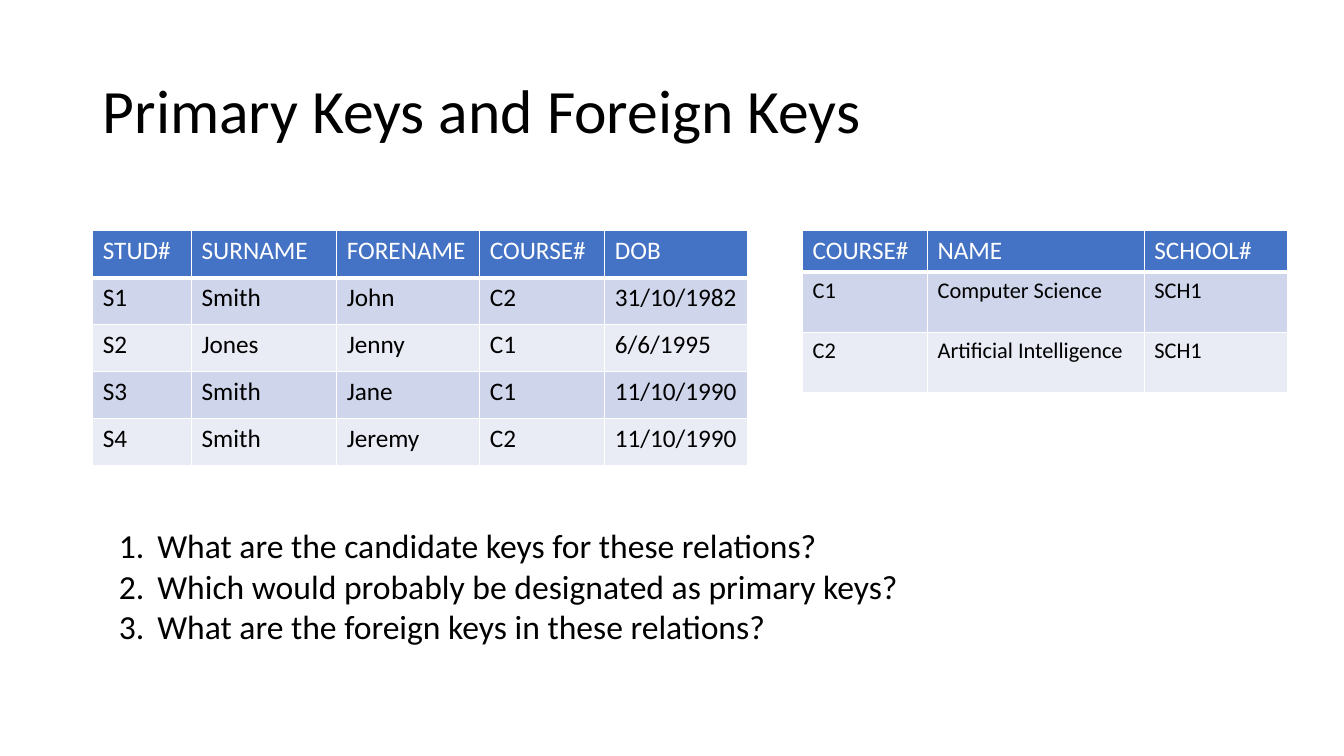
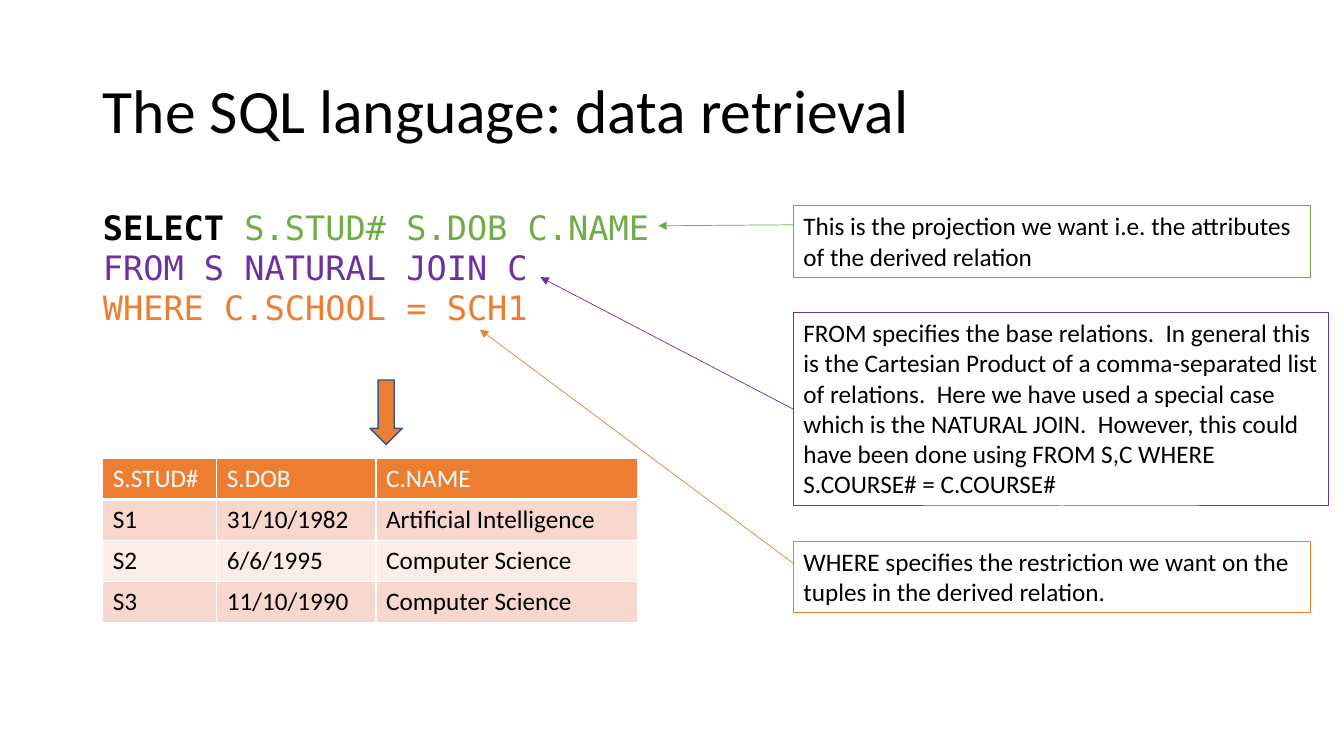
import lxml.etree
import pptx
import pptx.dml.color
import pptx.enum.shapes
import pptx.enum.text
import pptx.oxml
import pptx.oxml.ns
import pptx.util
from dataclasses import dataclass


@dataclass(frozen=True)
class Theme:
    font: str = "Calibri"
    code_font: str = "DejaVu Sans Mono"
    black: str = "000000"
    white: str = "FFFFFF"
    blue: str = "4472C4"
    blue_bands: tuple = ("CFD5EA", "E9EBF5")
    orange: str = "ED7D31"
    orange_bands: tuple = ("F8D7CE", "FCECE8")
    green: str = "70AD47"
    purple: str = "7030A0"
    arrow_outline: str = "325491"
    title_size: int = 44
    body_size: int = 24
    text_size: int = 18
    small_size: int = 16


THEME = Theme()
SLIDE_SIZE = (13.33, 7.5)
TITLE_BOX = (0.92, 0.4, 11.5, 1.45)
TITLE_AND_BODY, TITLE = 1, 0

KEYS_TITLE = "Primary Keys and Foreign Keys"
STUDENTS = [
    ("STUD#", "SURNAME", "FORENAME", "COURSE#", "DOB"),
    ("S1", "Smith", "John", "C2", "31/10/1982"),
    ("S2", "Jones", "Jenny", "C1", "6/6/1995"),
    ("S3", "Smith", "Jane", "C1", "11/10/1990"),
    ("S4", "Smith", "Jeremy", "C2", "11/10/1990"),
]
COURSES = [
    ("COURSE#", "NAME", "SCHOOL#"),
    ("C1", "Computer Science", "SCH1"),
    ("C2", "Artificial Intelligence", "SCH1"),
]
QUESTIONS = [
    "What are the candidate keys for these relations?",
    "Which would probably be designated as primary keys?",
    "What are the foreign keys in these relations?",
]

QUERY_TITLE = "The SQL language: data retrieval"
QUERY = [
    [("SELECT ", THEME.black, True), ("S.STUD# S.DOB C.NAME", THEME.green, False)],
    [("FROM S NATURAL JOIN C", THEME.purple, False)],
    [("WHERE C.SCHOOL = SCH1", THEME.orange, False)],
]
RESULT = [
    ("S.STUD#", "S.DOB", "C.NAME"),
    ("S1", "31/10/1982", "Artificial Intelligence"),
    ("S2", "6/6/1995", "Computer Science"),
    ("S3", "11/10/1990", "Computer Science"),
]
NOTES_LEFT, NOTES_TOP, NOTES_GAP = 7.87, 2.04, 0.35
NOTES = [
    dict(text="This is the projection we want i.e. the attributes of the derived relation",
         color=THEME.green, size=(5.13, 0.71), drop=0.19, target=(6.53, 2.24)),
    dict(text="FROM specifies the base relations.  In general this is the Cartesian Product "
              "of a comma-separated list of relations.  Here we have used a special case "
              "which is the NATURAL JOIN.  However, this could have been done using "
              "FROM S,C WHERE S.COURSE# = C.COURSE#",
         color=THEME.purple, size=(5.31, 1.92), drop=0.96, target=(5.36, 2.75)),
    dict(text="WHERE specifies the restriction we want on the tuples in the derived relation.",
         color=THEME.orange, size=(5.13, 0.71), drop=0.22, target=(4.76, 3.27)),
]


def inches(values):
    return [pptx.util.Inches(value) for value in values]


def rgb(color):
    return pptx.dml.color.RGBColor.from_string(color)


def add_child(parent, tag, **attributes):
    return lxml.etree.SubElement(parent, pptx.oxml.ns.qn(tag), attributes)


def add_run(paragraph, text, size, color=THEME.black, font=THEME.font, bold=False):
    run = paragraph.add_run()
    run.text = text
    run.font.name = font
    run.font.size = pptx.util.Pt(size)
    run.font.bold = bold
    run.font.color.rgb = rgb(color)


def place(shape, box):
    shape.left, shape.top, shape.width, shape.height = inches(box)


def fill_placeholder(placeholder, box, lines, size, font=THEME.font, numbered=False,
                     anchor=pptx.enum.text.MSO_ANCHOR.TOP, line_spacing=1.0):
    place(placeholder, box)
    frame = placeholder.text_frame
    frame.word_wrap = True
    frame.auto_size = pptx.enum.text.MSO_AUTO_SIZE.NONE
    frame.vertical_anchor = anchor
    for index, runs in enumerate(lines):
        paragraph = frame.add_paragraph() if index else frame.paragraphs[0]
        paragraph.alignment = pptx.enum.text.PP_ALIGN.LEFT
        paragraph.line_spacing = line_spacing
        paragraph.space_before = pptx.util.Pt(0)
        indent = pptx.util.Inches(0.38 if numbered else 0)
        properties = paragraph._p.get_or_add_pPr()
        properties.set("marL", str(indent))
        properties.set("indent", str(-indent))
        if numbered:
            add_child(properties, "a:buFont", typeface="+mj-lt")
            add_child(properties, "a:buAutoNum", type="arabicPeriod")
        else:
            add_child(properties, "a:buNone")
        for text, color, bold in runs:
            add_run(paragraph, text, size, color, font, bold)


def new_slide(presentation, title):
    slide = presentation.slides.add_slide(presentation.slide_layouts[TITLE_AND_BODY])
    fill_placeholder(slide.placeholders[TITLE], TITLE_BOX, [[(title, THEME.black, False)]],
                     THEME.title_size, anchor=pptx.enum.text.MSO_ANCHOR.MIDDLE, line_spacing=0.9)
    return slide


def border_cell(cell, bottom):
    properties = cell._tc.get_or_add_tcPr()
    widths = (("a:lnL", 1), ("a:lnR", 1), ("a:lnT", 1), ("a:lnB", bottom))
    for position, (tag, width) in enumerate(widths):
        line = add_child(properties, tag, w=str(pptx.util.Pt(width)))
        add_child(add_child(line, "a:solidFill"), "a:srgbClr", val=THEME.white)
        properties.insert(position, line)


def add_grid(slide, rows, corner, widths, heights, header, bands, size=THEME.text_size):
    box = inches((*corner, sum(widths), sum(heights)))
    table = slide.shapes.add_table(len(rows), len(widths), *box).table
    table.first_row = table.horz_banding = False
    for column, width in zip(table.columns, inches(widths)):
        column.width = width
    for row, height in zip(table.rows, inches(heights)):
        row.height = height
    for row_index, values in enumerate(rows):
        is_header = row_index == 0
        for column_index, text in enumerate(values):
            cell = table.cell(row_index, column_index)
            cell.fill.solid()
            cell.fill.fore_color.rgb = rgb(header if is_header else bands[(row_index - 1) % 2])
            border_cell(cell, 3 if is_header else 1)
            add_run(cell.text_frame.paragraphs[0], text,
                    THEME.text_size if is_header else size,
                    THEME.white if is_header else THEME.black)


def add_note(slide, note, top):
    box = slide.shapes.add_textbox(*inches((NOTES_LEFT, top, *note["size"])))
    box.text_frame.word_wrap = True
    box.line.color.rgb = rgb(note["color"])
    box.line.width = pptx.util.Pt(0.75)
    add_run(box.text_frame.paragraphs[0], note["text"], THEME.text_size)
    arrow = slide.shapes.add_connector(
        pptx.enum.shapes.MSO_CONNECTOR.STRAIGHT,
        *inches((NOTES_LEFT, top + note["drop"], *note["target"])))
    arrow.line.color.rgb = rgb(note["color"])
    arrow.line.width = pptx.util.Pt(0.5)
    add_child(arrow.line._get_or_add_ln(), "a:tailEnd", type="triangle")
    add_child(arrow._element.spPr, "a:effectLst")


def build_keys_slide(presentation):
    slide = new_slide(presentation, KEYS_TITLE)
    add_grid(slide, STUDENTS, (0.92, 2.29), (0.98, 1.44, 1.42, 1.24, 1.42),
             [0.465] * len(STUDENTS), THEME.blue, THEME.blue_bands)
    add_grid(slide, COURSES, (7.96, 2.29), (1.24, 2.15, 1.42), (0.4, 0.6, 0.6),
             THEME.blue, THEME.blue_bands, THEME.small_size)
    fill_placeholder(slide.placeholders[1], (1.08, 5.16, 8, 1.31),
                     [[(question, THEME.black, False)] for question in QUESTIONS],
                     THEME.body_size, numbered=True)


def build_query_slide(presentation):
    slide = new_slide(presentation, QUERY_TITLE)
    fill_placeholder(slide.placeholders[1], (0.92, 2, 6.11, 1.56), QUERY,
                     THEME.body_size, THEME.code_font)
    add_grid(slide, RESULT, (1.02, 4.55), (1.13, 1.58, 2.59),
             [0.405] * len(RESULT), THEME.orange, THEME.orange_bands)
    down_arrow = slide.shapes.add_shape(pptx.enum.shapes.MSO_SHAPE.DOWN_ARROW,
                                        *inches((3.67, 3.77, 0.32, 0.64)))
    down_arrow.shadow.inherit = False
    down_arrow.fill.solid()
    down_arrow.fill.fore_color.rgb = rgb(THEME.orange)
    down_arrow.line.color.rgb = rgb(THEME.arrow_outline)
    down_arrow.line.width = pptx.util.Pt(1)
    top = NOTES_TOP
    for note in NOTES:
        add_note(slide, note, top)
        top += note["size"][1] + NOTES_GAP


def main():
    presentation = pptx.Presentation()
    presentation.slide_width, presentation.slide_height = inches(SLIDE_SIZE)
    build_keys_slide(presentation)
    build_query_slide(presentation)
    presentation.save("out.pptx")


if __name__ == "__main__":
    main()
